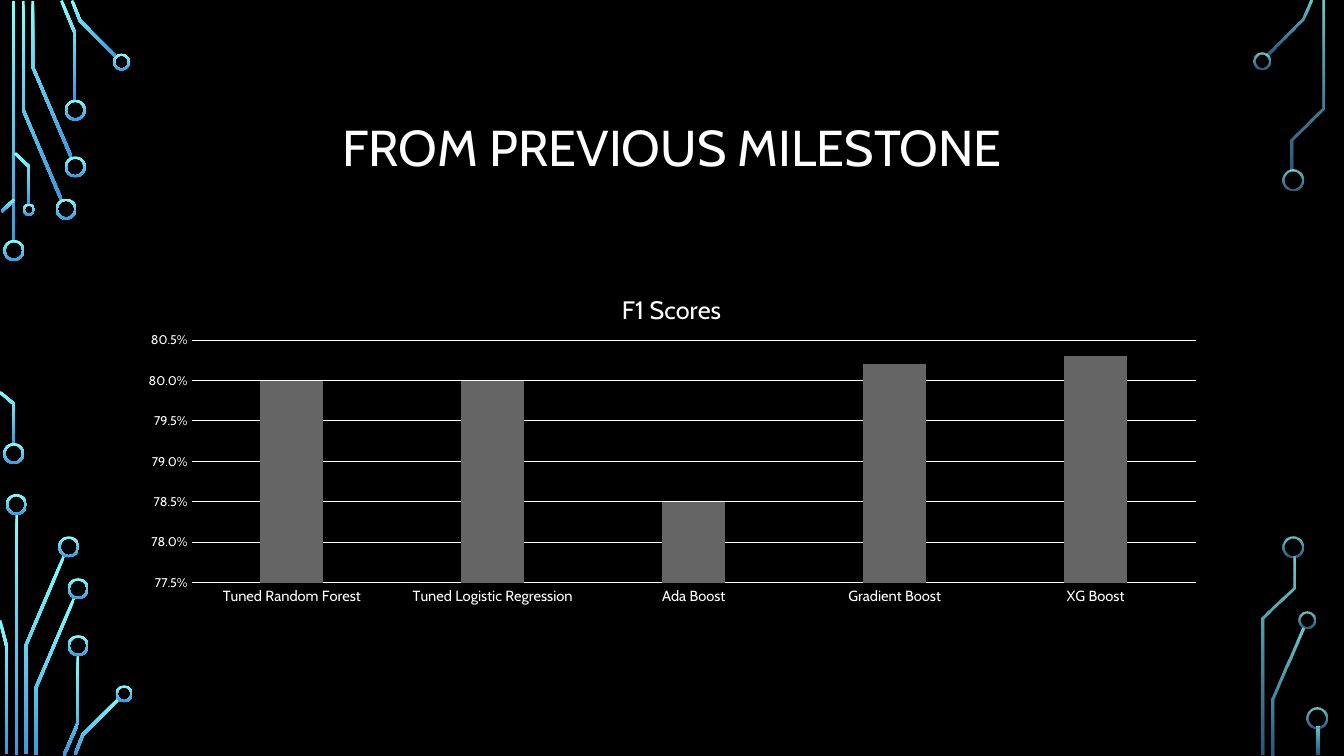
from math import hypot

from lxml.etree import SubElement
from pptx import Presentation
from pptx.chart.data import CategoryChartData
from pptx.dml.color import RGBColor
from pptx.enum.chart import XL_CHART_TYPE as ChartType, XL_TICK_MARK as TickMark
from pptx.enum.shapes import MSO_SHAPE as Shape
from pptx.enum.text import MSO_ANCHOR as Anchor, PP_ALIGN as Align
from pptx.oxml.ns import qn
from pptx.oxml.xmlchemy import OxmlElement
from pptx.util import Pt

BLACK = RGBColor(0x00, 0x00, 0x00)
WHITE = RGBColor(0xFF, 0xFF, 0xFF)
BAR_GREY = RGBColor(0x65, 0x65, 0x65)
CYAN = RGBColor(0x82, 0xFF, 0xFF)
BLUE = RGBColor(0x3D, 0x97, 0xDE)

FONT = "Cabin"
TRACE_WIDTH = 2
RING_WIDTH = 1.5
LARGE, MEDIUM, SMALL = 15, 12.2, 8.8

UPPER_LEFT_TRACES = [
    [(9.7, 0.5), (9.7, 172.5)],
    [(16.6, 0.7), (16.6, 78.5), (43.9, 142.9)],
    [(23.4, 0.7), (23.4, 47.9), (51.1, 112.7)],
    [(43.9, 0.4), (53.6, 23.8), (53.6, 72)],
    [(51.5, 0.4), (57.2, 14.8), (83.2, 41)],
    [(1.1, 151.2), (10.1, 142.6)],
    [(10.8, 109.4), (20.9, 119.2), (20.9, 146.2)],
    [(0, 280.1), (10.1, 288.7), (10.1, 317.5)],
]
UPPER_LEFT_RINGS = [
    (9.9, 178.9, LARGE), (9.8, 324, LARGE), (47.2, 149.4, LARGE),
    (53.8, 119.2, LARGE), (53.8, 78.7, LARGE), (86.8, 44.3, MEDIUM),
    (20.7, 149.8, SMALL),
]
LOWER_LEFT_TRACES = [
    [(11.9, 17.2), (11.9, 189.3)],
    [(18.4, 188.6), (18.4, 111.2), (45.7, 47.1)],
    [(4.7, 188.6), (4.7, 111.5), (0, 93.2)],
    [(25.6, 189.3), (25.6, 141.4), (52.9, 77.3)],
    [(45.7, 189.6), (55.8, 166.2), (55.8, 118)],
    [(53.6, 189), (59.2, 174.9), (85, 149)],
]
LOWER_LEFT_RINGS = [
    (11.7, 10.4, LARGE), (49.1, 40.6, LARGE), (55.8, 70.5, LARGE),
    (55.8, 111.2, LARGE), (88.7, 145.6, MEDIUM),
]
UPPER_RIGHT_TRACES = [
    [(5, 40), (30.6, 14), (36.4, 0.4)],
    [(23, 121.7), (23, 99.7), (45, 77.4), (45, 0.7)],
]
UPPER_RIGHT_RINGS = [(1.3, 43.6, MEDIUM), (23.4, 128.9, LARGE)]
LOWER_RIGHT_TRACES = [
    [(9, 189.3), (9, 149.3), (31, 99)],
    [(1.8, 189.3), (1.8, 91.7), (24.1, 69.9), (24.1, 47.4)],
    [(41.4, 169), (41.4, 189.3)],
]
LOWER_RIGHT_RINGS = [(33.5, 93.2, MEDIUM), (23.8, 40.6, LARGE), (40.6, 162.6, LARGE)]

F1_SCORES = {
    "Tuned Random Forest": 0.8,
    "Tuned Logistic Regression": 0.8,
    "Ada Boost": 0.785,
    "Gradient Boost": 0.802,
    "XG Boost": 0.803,
}


def paint_glow(part, opacities):
    part.shadow.inherit = False
    part.line.fill.background()
    part.fill.gradient()
    part.fill.gradient_angle = 270
    for stop, color in zip(part.fill.gradient_stops, (CYAN, BLUE)):
        stop.color.rgb = color
    for color, opacity in zip(part._element.spPr.iter(qn("a:srgbClr")), opacities):
        if opacity < 100:
            SubElement(color, qn("a:alpha")).set("val", str(opacity * 1000))


def trace_outline(points):
    normals = []
    for (x1, y1), (x2, y2) in zip(points, points[1:]):
        length = hypot(x2 - x1, y2 - y1)
        normals.append(((y1 - y2) / length, (x2 - x1) / length))
    near, far = [], []
    for (x, y), (ax, ay), (bx, by) in zip(points, normals[:1] + normals, normals + normals[-1:]):
        reach = TRACE_WIDTH / 2 / (1 + ax * bx + ay * by)
        dx, dy = (ax + bx) * reach, (ay + by) * reach
        near.append((x + dx, y + dy))
        far.append((x - dx, y - dy))
    return near + far[::-1]


def add_circuit(slide, box, traces, rings, opacities=(100, 100)):
    left, top = box
    for trace in traces:
        outline = [(Pt(left + x), Pt(top + y)) for x, y in trace_outline(trace)]
        builder = slide.shapes.build_freeform(*outline[0])
        builder.add_line_segments(outline[1:], close=True)
        paint_glow(builder.convert_to_shape(), opacities)
    for x, y, size in rings:
        ring = slide.shapes.add_shape(
            Shape.DONUT, Pt(left + x - size / 2), Pt(top + y - size / 2), Pt(size), Pt(size))
        ring.adjustments[0] = RING_WIDTH / size
        paint_glow(ring, opacities)


def style_font(font, size):
    font.name = FONT
    font.size = Pt(size)
    font.color.rgb = WHITE


def add_heading(slide, box):
    heading = slide.shapes.title
    heading.left, heading.top, heading.width, heading.height = map(Pt, box)
    heading.text_frame.text = "FROM PREVIOUS MILESTONE"
    heading.text_frame.vertical_anchor = Anchor.MIDDLE
    paragraph = heading.text_frame.paragraphs[0]
    paragraph.alignment = Align.CENTER
    paragraph.line_spacing = 0.9
    style_font(paragraph.font, 36)


def set_layout(parent, index, **settings):
    layout = parent.find(qn("c:layout"))
    if layout is None:
        layout = OxmlElement("c:layout")
        parent.insert(index, layout)
    manual = SubElement(layout, qn("c:manualLayout"))
    for key, value in settings.items():
        SubElement(manual, qn(f"c:{key}")).set("val", str(value))


def add_scores_chart(slide, box):
    scores = CategoryChartData(number_format="0.0%")
    scores.categories = list(F1_SCORES)
    scores.add_series("Series 1", list(F1_SCORES.values()))
    chart = slide.shapes.add_chart(ChartType.COLUMN_CLUSTERED, *map(Pt, box), scores).chart
    style_font(chart.font, 10)
    chart.has_legend = False

    chart.has_title = True
    chart.chart_title.text_frame.text = "F1 Scores"
    caption = chart.chart_title.text_frame.paragraphs[0].font
    style_font(caption, 18)
    caption.bold = False
    chart.chart_title.include_in_layout = False
    set_layout(chart.chart_title._element, 1, xMode="edge", yMode="edge", x=0.45, y=0.06)
    set_layout(chart._chartSpace.chart.plotArea, 0, layoutTarget="inner",
               xMode="edge", yMode="edge", x=0.06, y=0.21, w=0.92, h=0.7)

    bars = chart.plots[0]
    bars.gap_width = 219
    bars.overlap = -27
    bars.vary_by_categories = False
    bars.series[0].format.fill.solid()
    bars.series[0].format.fill.fore_color.rgb = BAR_GREY

    models, percents = chart.category_axis, chart.value_axis
    for axis, size in ((models, 10.5), (percents, 9)):
        axis.major_tick_mark = axis.minor_tick_mark = TickMark.NONE
        style_font(axis.tick_labels.font, size)
    percents.minimum_scale, percents.maximum_scale = 0.775, 0.805
    percents.major_unit = 0.005
    percents.tick_labels.number_format = "0.0%"
    percents.tick_labels.number_format_is_linked = False
    percents.format.line.fill.background()
    for line in (models.format.line, percents.major_gridlines.format.line):
        line.color.rgb = WHITE
        line.width = Pt(0.75)


def main():
    deck = Presentation()
    deck.slide_width, deck.slide_height = Pt(960), Pt(540)
    slide = deck.slides.add_slide(deck.slide_layouts[5])
    slide.background.fill.solid()
    slide.background.fill.fore_color.rgb = BLACK

    faded = (80, 60)
    add_circuit(slide, (0, 0), UPPER_LEFT_TRACES, UPPER_LEFT_RINGS)
    add_circuit(slide, (0, 350), LOWER_LEFT_TRACES, LOWER_LEFT_RINGS)
    add_circuit(slide, (900, 0), UPPER_RIGHT_TRACES, UPPER_RIGHT_RINGS, faded)
    add_circuit(slide, (900, 350), LOWER_RIGHT_TRACES, LOWER_RIGHT_RINGS, faded)
    add_heading(slide, (90, 49, 780, 116.5))
    add_scores_chart(slide, (90, 191, 780, 247.5))
    deck.save("out.pptx")


if __name__ == "__main__":
    main()
